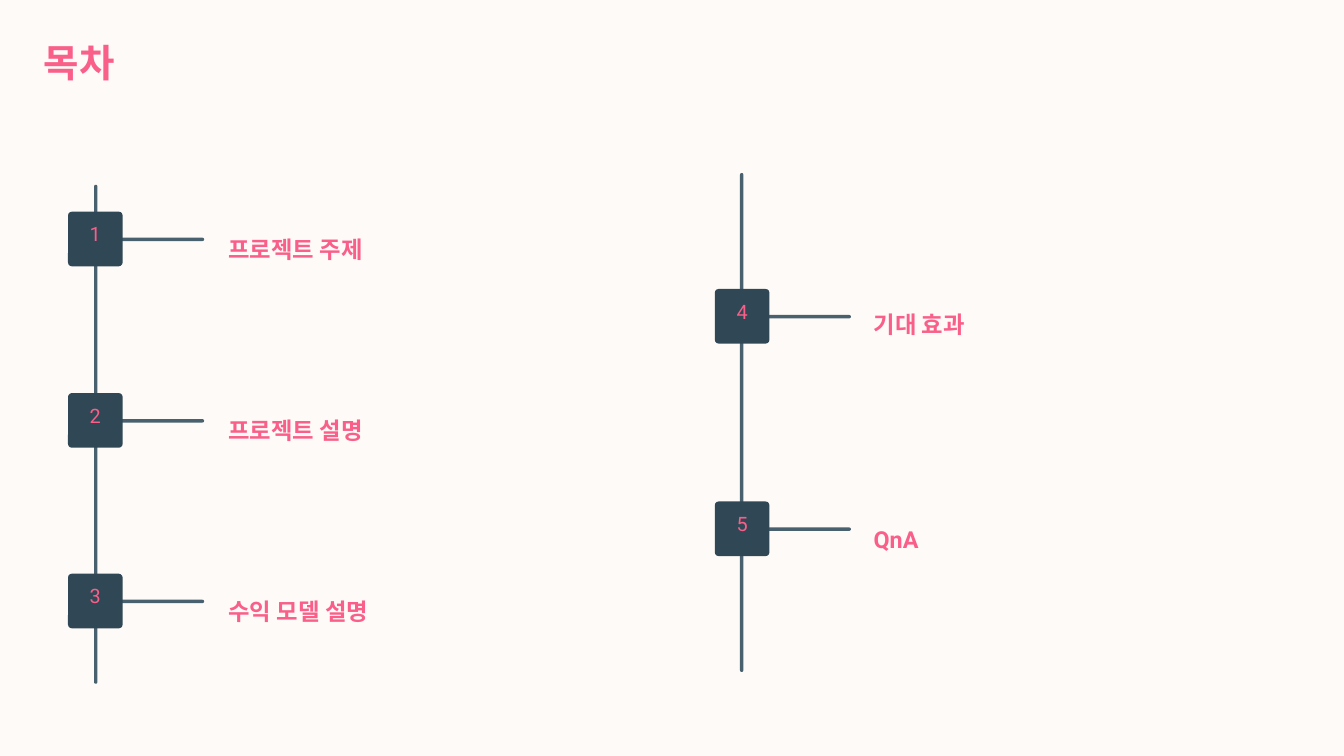
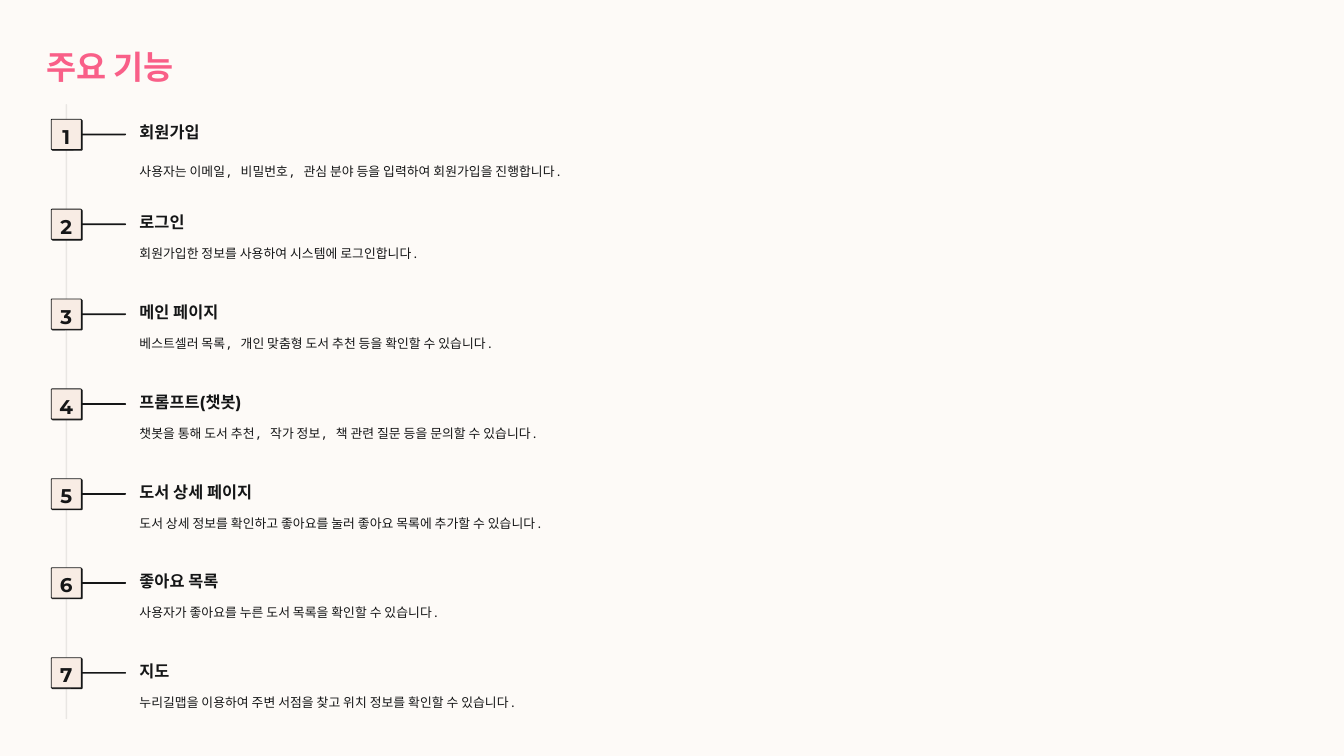
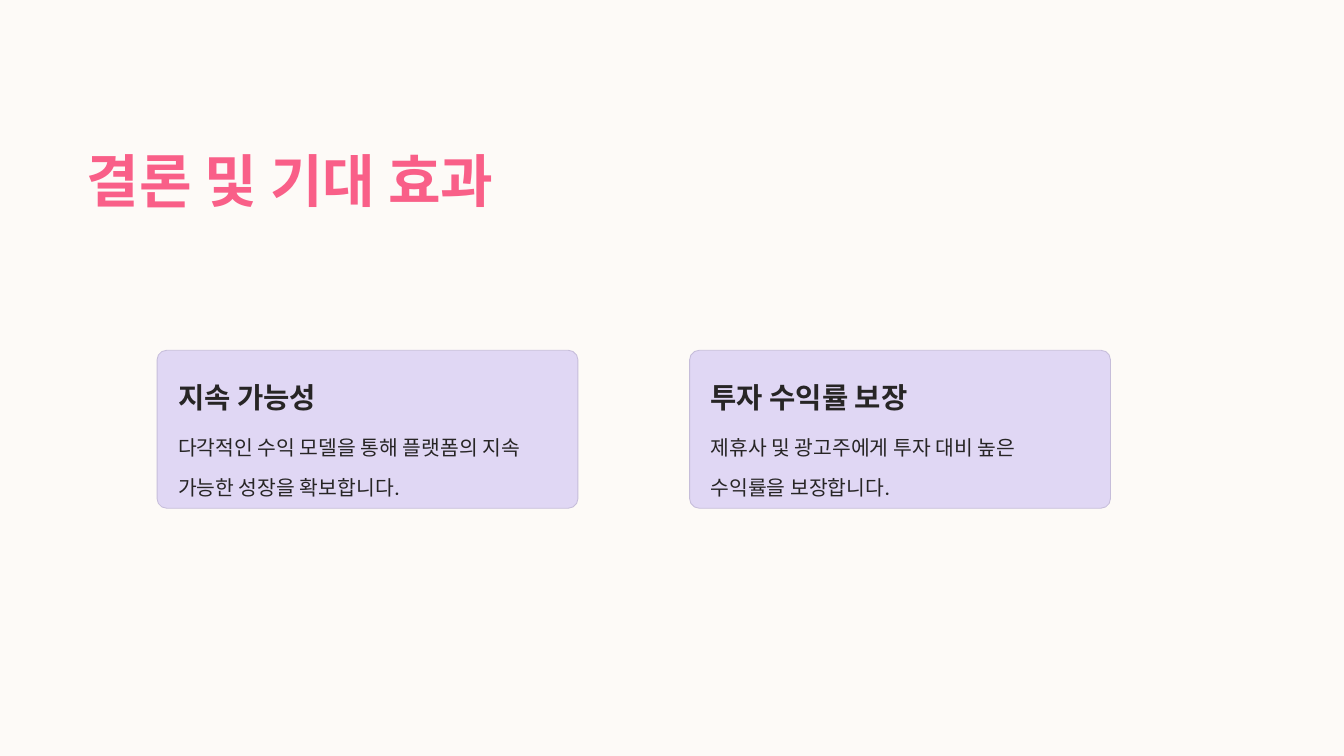
from lxml.etree import SubElement
from pptx import Presentation
from pptx.dml.color import RGBColor
from pptx.enum.shapes import MSO_SHAPE
from pptx.enum.text import MSO_ANCHOR, PP_ALIGN
from pptx.oxml.ns import qn
from pptx.util import Emu, Pt

PX = 9144
CREAM = RGBColor(0xFD, 0xFA, 0xF7)
PINK = RGBColor(0xF9, 0x5F, 0x88)
SLATE = RGBColor(0x49, 0x60, 0x6E)
NAVY = RGBColor(0x30, 0x47, 0x55)
INK = RGBColor(0x15, 0x16, 0x17)
PEACH = RGBColor(0xF8, 0xEC, 0xE4)
BLACK = RGBColor(0x00, 0x00, 0x00)
LILAC = RGBColor(0xE0, 0xD7, 0xF4)
LILAC_EDGE = RGBColor(0xC6, 0xBD, 0xDA)
CHARCOAL = RGBColor(0x27, 0x25, 0x25)


def style(name, size, color, bold=False, spacing=1.0, align=PP_ALIGN.LEFT):
    """Return the format values of one kind of text."""
    return {
        "font": {"name": name, "size": Pt(size), "bold": bold},
        "paragraph": {"line_spacing": spacing, "alignment": align},
        "color": color,
    }


AGENDA_TITLE = style("Roboto", 33, PINK, True, 1.25)
AGENDA_LABEL = style("Roboto", 20, PINK, True, 1.27)
AGENDA_NUMBER = style("Roboto", 17, PINK, align=PP_ALIGN.CENTER)
FEATURE_TITLE = style("Montserrat", 28, PINK, True, 1.27)
FEATURE_NUMBER = style("Montserrat", 17, INK, True, align=PP_ALIGN.CENTER)
FEATURE_NAME = style("Montserrat", 14, INK, True, 1.25)
FEATURE_BODY = style("Noto Sans Mono", 11, INK, spacing=1.64)
CLOSING_TITLE = style("Calibri", 49, PINK, True, 1.24)
CARD_TITLE = style("Calibri", 24.5, CHARCOAL, True, 1.24)
CARD_BODY = style("Inter", 17.5, CHARCOAL, spacing=1.63)

AGENDA_COLUMNS = [
    ((112, 220), 81, 191, [(252, 19, "프로젝트 주제"), (468, 19, "프로젝트 설명"), (683, 19, "수익 모델 설명")]),
    ((881, 206), 851, 189, [(344, 16, "기대 효과"), (597, 19, "QnA")]),
]
FEATURE_TOP = 142
FEATURE_PITCH = 106.88
FEATURES = [
    ("회원가입", "사용자는 이메일, 비밀번호, 관심 분야 등을 입력하여 회원가입을 진행합니다."),
    ("로그인", "회원가입한 정보를 사용하여 시스템에 로그인합니다."),
    ("메인 페이지", "베스트셀러 목록, 개인 맞춤형 도서 추천 등을 확인할 수 있습니다."),
    ("프롬프트(챗봇)", "챗봇을 통해 도서 추천, 작가 정보, 책 관련 질문 등을 문의할 수 있습니다."),
    ("도서 상세 페이지", "도서 상세 정보를 확인하고 좋아요를 눌러 좋아요 목록에 추가할 수 있습니다."),
    ("좋아요 목록", "사용자가 좋아요를 누른 도서 목록을 확인할 수 있습니다."),
    ("지도", "누리길맵을 이용하여 주변 서점을 찾고 위치 정보를 확인할 수 있습니다."),
]
CARDS = [
    ("지속 가능성", "다각적인 수익 모델을 통해 플랫폼의 지속 가능한 성장을 확보합니다."),
    ("투자 수익률 보장", "제휴사 및 광고주에게 투자 대비 높은 수익률을 보장합니다."),
]


def px(*lengths):
    """Turn px lengths into EMU."""
    return [Emu(n * PX) for n in lengths]


def write(tf, text, fmt, top=0):
    """Write one styled paragraph into a text frame."""
    frame = {
        "margin_left": 0, "margin_right": 0, "margin_bottom": 0,
        "margin_top": Emu(top * PX), "word_wrap": True,
        "vertical_anchor": MSO_ANCHOR.TOP,
    }
    p = tf.paragraphs[0]
    r = p.add_run()
    r.text = text
    for target, values in ((tf, frame), (p, fmt["paragraph"]), (r.font, fmt["font"])):
        for key, value in values.items():
            setattr(target, key, value)
    r.font.color.rgb = fmt["color"]


def add_text(s, box, text, fmt):
    """Add a text box."""
    write(s.shapes.add_textbox(*px(*box)).text_frame, text, fmt)


def add_round(s, box, fill, radius=0.5, line=None):
    """Add a rounded rectangle with a flat fill."""
    sp = s.shapes.add_shape(MSO_SHAPE.ROUNDED_RECTANGLE, *px(*box))
    sp.adjustments[0] = radius
    sp.shadow.inherit = False
    sp.fill.solid()
    sp.fill.fore_color.rgb = fill
    if line is None:
        sp.line.fill.background()
    else:
        sp.line.color.rgb = line
        sp.line.width = Pt(0.75)
    return sp


def set_alpha(sp, percent):
    """Make the fill of a shape partly transparent."""
    clr = sp._element.spPr.find(qn("a:solidFill")).find(qn("a:srgbClr"))
    SubElement(clr, qn("a:alpha")).set("val", str(percent * 1000))


def add_hard_shadow(sp, color):
    """Give a shape a sharp shadow one point down and right."""
    effects = sp._element.spPr.find(qn("a:effectLst"))
    shadow = SubElement(effects, qn("a:outerShdw"), blurRad="0", dist=str(Pt(1)),
                        dir="2700000", algn="bl", rotWithShape="0")
    SubElement(shadow, qn("a:srgbClr")).set("val", str(color))


def add_slide(prs, title, box, fmt):
    """Add a blank slide with the shared background and a title."""
    s = prs.slides.add_slide(prs.slide_layouts[6])
    s.background.fill.solid()
    s.background.fill.fore_color.rgb = CREAM
    add_text(s, box, title, fmt)
    return s


def agenda_item(s, x, y, number, label, indent, drop):
    """Place one numbered agenda entry with its branch."""
    add_round(s, (x + 61, y + 31, 101, 4), SLATE)
    sp = add_round(s, (x, y, 65, 65), NAVY, 0.07)
    write(sp.text_frame, str(number), AGENDA_NUMBER, 11)
    add_text(s, (x + indent, y + drop, 400, 42), label, AGENDA_LABEL)


def agenda_slide(prs):
    """Build the table of contents."""
    s = add_slide(prs, "목차", (52, 33, 296, 85), AGENDA_TITLE)
    number = 0
    for spine, x, indent, items in AGENDA_COLUMNS:
        add_round(s, (*spine, 4, 594), SLATE)
        for y, drop, label in items:
            number += 1
            agenda_item(s, x, y, number, label, indent, drop)


def feature_item(s, x, y, number, name, body, drop):
    """Place one numbered feature with its description."""
    add_round(s, (x + 34, y + 17, 55, 2), INK)
    sp = add_round(s, (x, y, 36, 36), PEACH, 0.03, INK)
    add_hard_shadow(sp, INK)
    write(sp.text_frame, str(number), FEATURE_NUMBER, 6)
    add_text(s, (x + 105, y - 2, 198, 25), name, FEATURE_NAME)
    add_text(s, (x + 105, y + drop, 1379, 25), body, FEATURE_BODY)


def feature_slide(prs):
    """Build the list of main features."""
    s = add_slide(prs, "주요 기능", (55, 43, 395, 49), FEATURE_TITLE)
    set_alpha(add_round(s, (78, 124, 2, 732), BLACK), 8)
    for i, (name, body) in enumerate(FEATURES):
        drop = 32 if i else 41
        feature_item(s, 61, round(FEATURE_TOP + i * FEATURE_PITCH), i + 1, name, body, drop)


def card(s, x, y, title, body):
    """Place one card with a heading and a text."""
    add_round(s, (x, y, 501, 188), LILAC, 0.06, LILAC_EDGE)
    add_text(s, (x + 25, y + 26, 341, 43), title, CARD_TITLE)
    add_text(s, (x + 25, y + 83, 450, 79), body, CARD_BODY)


def closing_slide(prs):
    """Build the conclusion with its cards."""
    s = add_slide(prs, "결론 및 기대 효과", (103, 153, 682, 85), CLOSING_TITLE)
    for i, (title, body) in enumerate(CARDS):
        card(s, 187 + i * 634, 417, title, body)


def main():
    """Build and save the presentation."""
    prs = Presentation()
    prs.slide_width, prs.slide_height = px(1600, 900)
    agenda_slide(prs)
    feature_slide(prs)
    closing_slide(prs)
    prs.save("out.pptx")


if __name__ == "__main__":
    main()
